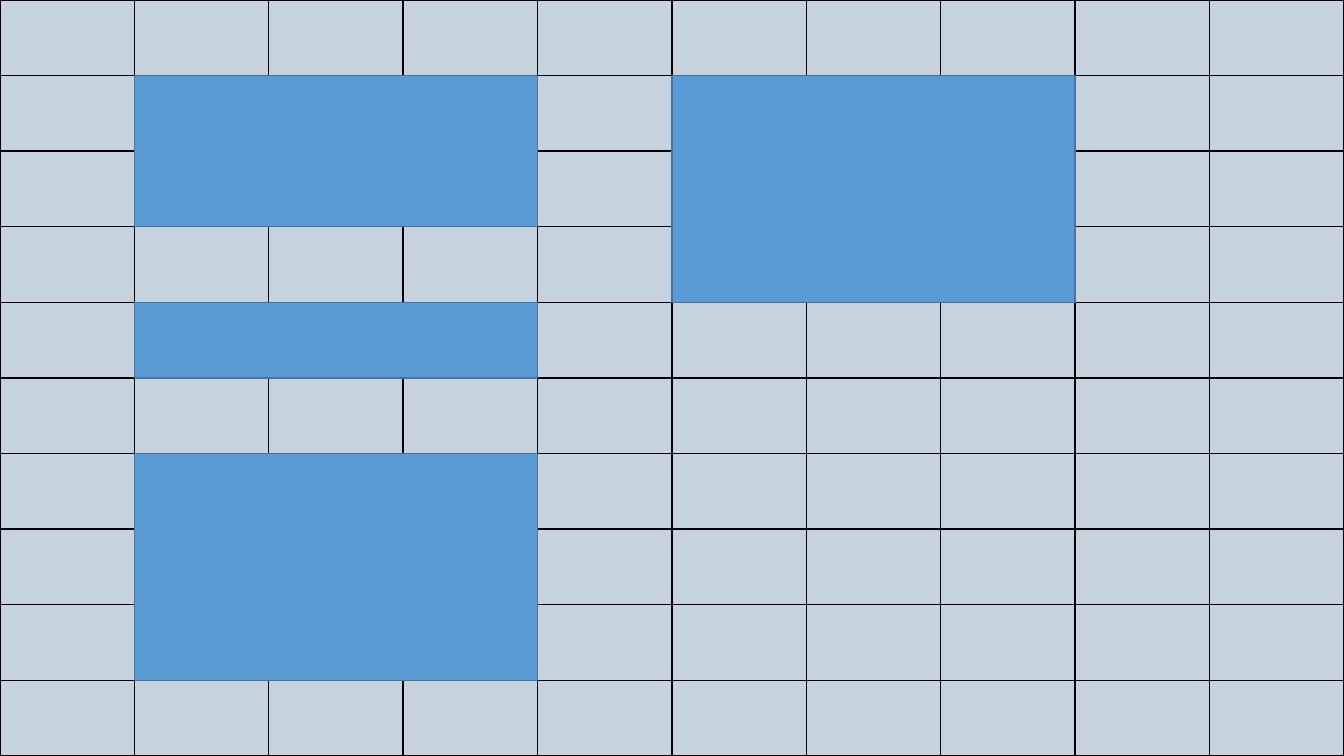
from dataclasses import dataclass
from itertools import product

from lxml import etree
from pptx import Presentation
from pptx.dml.color import RGBColor
from pptx.enum.shapes import MSO_SHAPE
from pptx.oxml.ns import qn
from pptx.util import Cm, Pt

RECTANGLE = MSO_SHAPE.RECTANGLE
DIVISIONS = 10
OPEN_CELLS = {(2, 6), (7, 2)}
PANELS = ((1, 1, 3, 2), (1, 4, 3, 1), (1, 6, 3, 3), (5, 1, 3, 3))


@dataclass(frozen=True)
class Theme:
    """Colours, opacity and line width of the slide."""
    cell_fill: str = "1F4E79"
    cell_line: str = "000000"
    cell_opacity: int = 25
    panel_fill: str = "5B9BD5"
    panel_line: str = "43739E"
    line_width: float = 1


THEME = Theme()


def grid_box(box, column, row, columns=1, rows=1):
    """Return the left, top, width and height of a span of grid cells."""
    left, top, width, height = box
    return (left + width * column // DIVISIONS, top + height * row // DIVISIONS,
            width * columns // DIVISIONS, height * rows // DIVISIONS)


def add_block(shapes, box, fill, line, opacity=100):
    """Add one outlined rectangle."""
    block = shapes.add_shape(RECTANGLE, *box)
    block.shadow.inherit = False
    block.fill.solid()
    block.line.fill.solid()
    block.line.width = Pt(THEME.line_width)
    formats = {block.fill.fore_color: fill, block.line.fill.fore_color: line}
    for color, value in formats.items():
        color.rgb = RGBColor.from_string(value)
    if opacity < 100:
        tint = block.fill._xPr.find(qn("a:solidFill"))[0]
        etree.SubElement(tint, qn("a:alpha"), val=str(opacity * 1000))


def add_grid(slide, box):
    """Fill the box with a group of translucent cells."""
    grid = slide.shapes.add_group_shape()
    for row, column in product(range(DIVISIONS), repeat=2):
        if (row, column) not in OPEN_CELLS:
            add_block(grid.shapes, grid_box(box, column, row),
                      THEME.cell_fill, THEME.cell_line, THEME.cell_opacity)


def add_panels(slide, box):
    """Place the solid panels on the grid of the box."""
    for panel in PANELS:
        add_block(slide.shapes, grid_box(box, *panel),
                  THEME.panel_fill, THEME.panel_line)


def main():
    """Build and save the layout grid slide."""
    deck = Presentation()
    size = {"slide_width": Cm(33.87), "slide_height": Cm(19.05)}
    for name, value in size.items():
        setattr(deck, name, value)
    slide = deck.slides.add_slide(deck.slide_layouts[6])
    page = (Cm(0), Cm(0), deck.slide_width, deck.slide_height)
    add_grid(slide, page)
    add_panels(slide, page)
    deck.save("out.pptx")


main()
